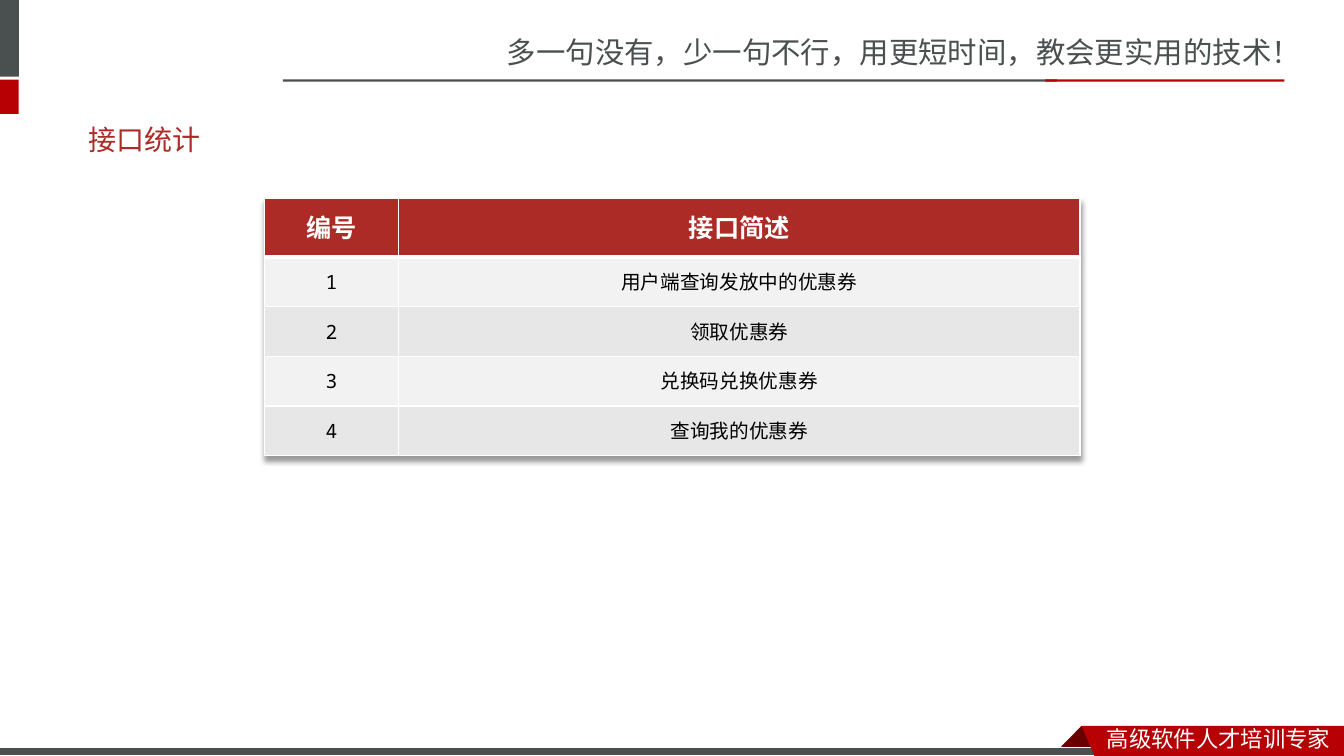
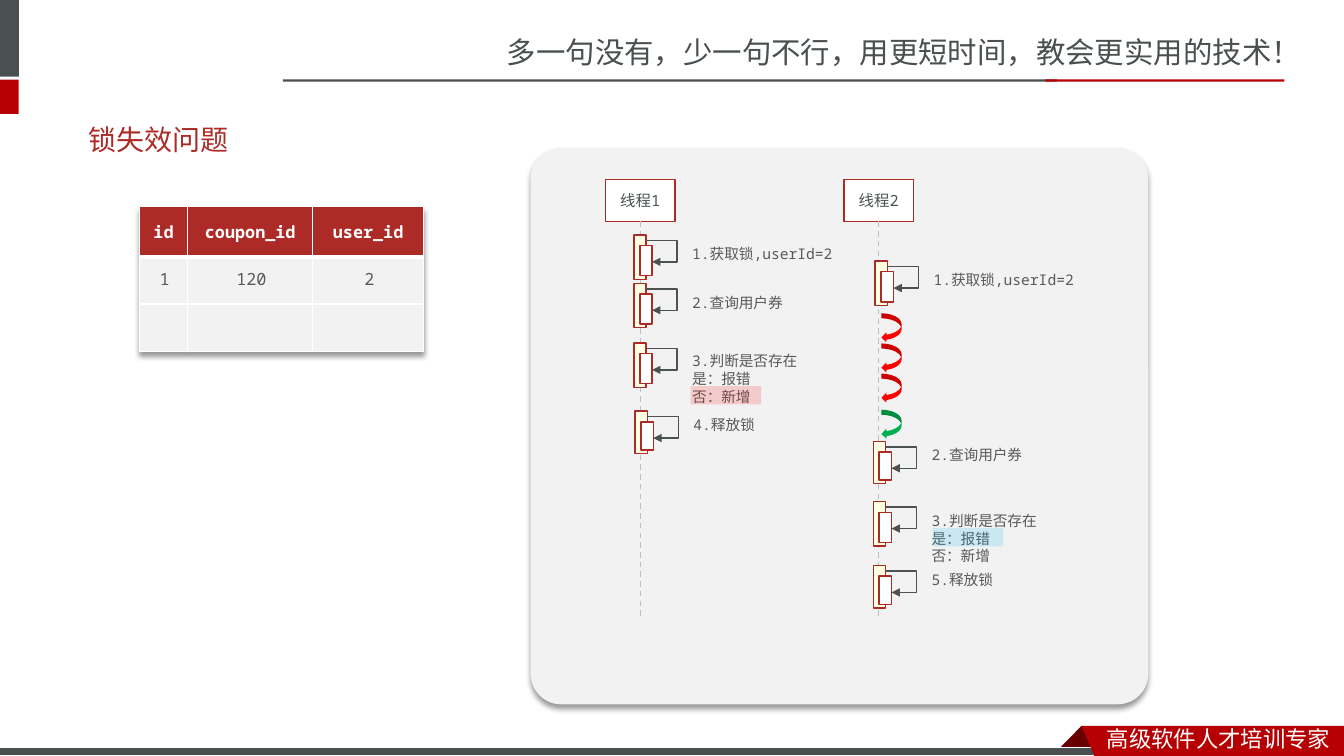
from dataclasses import dataclass
from itertools import accumulate
from typing import Optional

from lxml import etree
from pptx import Presentation
from pptx.dml.color import RGBColor
from pptx.enum import dml, shapes, text
from pptx.oxml.ns import qn
from pptx.util import Cm, Pt

# Colours and fonts
WHITE = RGBColor(0xFF, 0xFF, 0xFF)
BLACK = RGBColor(0x00, 0x00, 0x00)
SLATE = RGBColor(0x49, 0x50, 0x4F)
INK = RGBColor(0x4C, 0x52, 0x52)
GREY_TEXT = RGBColor(0x59, 0x59, 0x59)
LIFELINE_GREY = RGBColor(0xBF, 0xBF, 0xBF)
PALE = RGBColor(0xF2, 0xF2, 0xF2)
BAND = RGBColor(0xE7, 0xE7, 0xE7)
RED = RGBColor(0xB6, 0x00, 0x04)
DARK_RED = RGBColor(0x68, 0x00, 0x00)
BRICK = RGBColor(0xAD, 0x2B, 0x26)
CREAM = RGBColor(0xFF, 0xFF, 0xE4)
RETRY_RED = RGBColor(0xFF, 0x00, 0x00)
GO_GREEN = RGBColor(0x00, 0xB0, 0x50)
SKY = RGBColor(0x00, 0xB0, 0xF0)
SANS, MONO, TITLE_FONT = "Noto Sans CJK SC", "Noto Sans Mono", "Lato"

RECT = shapes.MSO_SHAPE.RECTANGLE
LEFT, CENTER = text.PP_ALIGN.LEFT, text.PP_ALIGN.CENTER
TOP, MIDDLE = text.MSO_ANCHOR.TOP, text.MSO_ANCHOR.MIDDLE
SLIDE_WIDTH, SLIDE_HEIGHT = 33.86, 19.05


@dataclass(frozen=True)
class Style:
    font: str
    size: float
    color: RGBColor
    bold: bool = False


@dataclass(frozen=True)
class Box:
    left: float
    top: float
    width: float
    height: float

    def lengths(self) -> tuple:
        return Cm(self.left), Cm(self.top), Cm(self.width), Cm(self.height)


@dataclass(frozen=True)
class SelfCall:
    left: float
    top: float
    height: float
    label_drop: float
    lines: tuple


SLOGAN_STYLE = Style(SANS, 21, SLATE)
FOOTER_STYLE = Style(SANS, 16, WHITE)
TITLE_STYLE = Style(TITLE_FONT, 20, BRICK)
HEAD_STYLE = Style(MONO, 11, INK)
CALL_STYLE = Style(MONO, 10.5, GREY_TEXT)
RECORD_STYLE = Style(MONO, 12, GREY_TEXT)


# Drawing helpers
def write(frame, lines, style: Style, align) -> None:
    for i, line in enumerate(lines):
        paragraph = frame.paragraphs[0] if i == 0 else frame.add_paragraph()
        paragraph.text = line
        paragraph.alignment = align
        font = paragraph.font
        font.size, font.bold, font.name = Pt(style.size), style.bold, style.font
        font.color.rgb = style.color
        etree.SubElement(font._element, qn("a:ea"), typeface=style.font)


def add_text(slide, box: Box, lines, style: Style, anchor=TOP, align=LEFT,
             wrap: bool = False) -> None:
    frame = slide.shapes.add_textbox(*box.lengths()).text_frame
    frame.word_wrap = wrap
    frame.vertical_anchor = anchor
    write(frame, lines, style, align)


def paint(shape, fill: RGBColor, line: Optional[RGBColor] = None, width: float = 1):
    shape.shadow.inherit = False
    shape.fill.solid()
    shape.fill.fore_color.rgb = fill
    if line is None:
        shape.line.fill.background()
    else:
        shape.line.color.rgb = line
        shape.line.width = Pt(width)
    return shape


def add_shape(slide, box: Box, fill: RGBColor, line: Optional[RGBColor] = None,
              width: float = 1, kind=RECT):
    return paint(slide.shapes.add_shape(kind, *box.lengths()), fill, line, width)


def add_polygon(slide, points, fill: RGBColor) -> None:
    corners = [(Cm(x), Cm(y)) for x, y in points]
    builder = slide.shapes.build_freeform(*corners[0])
    builder.add_line_segments(corners[1:], close=True)
    paint(builder.convert_to_shape(), fill)


def drop_shadow(effects) -> None:
    shadow = etree.SubElement(effects, qn("a:outerShdw"), blurRad=str(Pt(4)),
                              dist=str(Pt(3)), dir="5400000", algn="t", rotWithShape="0")
    color = etree.SubElement(shadow, qn("a:srgbClr"), val=str(BLACK))
    etree.SubElement(color, qn("a:alpha"), val="40000")


def add_line(slide, kind, start, end, color: RGBColor):
    line = slide.shapes.add_connector(kind, *(Cm(v) for v in (*start, *end)))
    line.line.color.rgb = color
    line.line.width = Pt(1)
    etree.SubElement(line._element.spPr, qn("a:effectLst"))
    return line


def underline_cell(cell) -> None:
    border = etree.Element(qn("a:lnB"), w=str(Pt(3)))
    fill = etree.SubElement(border, qn("a:solidFill"))
    etree.SubElement(fill, qn("a:srgbClr"), val=str(WHITE))
    cell._tc.get_or_add_tcPr().insert(0, border)


def add_table(slide, left: float, top: float, widths, heights, rows,
              header: Style, body: Style, bands) -> None:
    box = Box(left, top, sum(widths), sum(heights))
    table = slide.shapes.add_table(len(rows), len(widths), *box.lengths()).table
    effects = etree.Element(qn("a:effectLst"))
    drop_shadow(effects)
    table._tbl.tblPr.insert(0, effects)
    for column, width in zip(table.columns, widths):
        column.width = Cm(width)
    for r, (values, height) in enumerate(zip(rows, heights)):
        table.rows[r].height = Cm(height)
        for c, value in enumerate(values):
            cell = table.cell(r, c)
            cell.vertical_anchor = MIDDLE
            cell.fill.solid()
            cell.fill.fore_color.rgb = bands[(r - 1) % len(bands)] if r else BRICK
            if r == 0:
                underline_cell(cell)
            if value:
                write(cell.text_frame, [value], body if r else header, CENTER)


# Parts shared by the slides
def add_frame(deck, title: str):
    slide = deck.slides.add_slide(deck.slide_layouts[6])
    add_text(slide, Box(12.52, 0.73, 21.34, 1.19),
             ["多一句没有，少一句不行，用更短时间，教会更实用的技术！"], SLOGAN_STYLE)
    for box, fill in ((Box(0, 0, 0.48, 1.93), SLATE), (Box(0, 2.01, 0.47, 0.86), RED),
                      (Box(7.13, 2, 19.5, 0.06), SLATE),
                      (Box(26.34, 2, 6.02, 0.06), RED)):
        add_shape(slide, box, fill)
    add_polygon(slide, [(27.25, 18.29), (27.81, 18.85), (27.79, 18.87),
                        (26.72, 18.87), (26.7, 18.85)], DARK_RED)
    add_shape(slide, Box(0, 18.83, 27.92, 0.22), SLATE, WHITE, 0.75)
    add_polygon(slide, [(27.25, 18.29), (SLIDE_WIDTH, 18.29),
                        (SLIDE_WIDTH, SLIDE_HEIGHT), (27.57, SLIDE_HEIGHT)], RED)
    add_text(slide, Box(27.64, 18.16, 6.22, 0.94), ["高级软件人才培训专家"], FOOTER_STYLE)
    add_text(slide, Box(1.98, 2.79, 29.72, 1.45), [title], TITLE_STYLE, MIDDLE)
    return slide


# Sequence diagram parts
def add_thread(slide, left: float, name: str) -> None:
    box = Box(left, 4.52, 1.76, 1.06)
    head = add_shape(slide, box, WHITE, BRICK)
    frame = head.text_frame
    frame.margin_left = frame.margin_right = 0
    frame.vertical_anchor = MIDDLE
    write(frame, [name], HEAD_STYLE, CENTER)
    x = left + box.width / 2
    lifeline = add_line(slide, shapes.MSO_CONNECTOR.STRAIGHT,
                        (x, box.top + box.height), (x, 15.57), LIFELINE_GREY)
    lifeline.line.dash_style = dml.MSO_LINE.DASH
    lifeline.begin_connect(head, 2)


def add_self_call(slide, call: SelfCall) -> None:
    x, y = call.left, call.top
    add_shape(slide, Box(x, y, 0.31, call.height), CREAM, BRICK)
    add_shape(slide, Box(x + 0.15, y + 0.27, 0.31, call.height - 0.36), WHITE, BRICK)
    start, end, reach = x + 0.31, x + 0.46, 0.78
    loop = add_line(slide, shapes.MSO_CONNECTOR.ELBOW, (start, y + 0.14), (end, y + 0.68), INK)
    etree.SubElement(loop.line._get_or_add_ln(), qn("a:tailEnd"), type="triangle")
    guides = loop._element.spPr.find(qn("a:prstGeom")).find(qn("a:avLst"))
    bend = round(reach / (end - start) * 100000)
    etree.SubElement(guides, qn("a:gd"), name="adj1", fmla=f"val {bend}")
    add_text(slide, Box(x + 1.22, y + call.label_drop, 4.29, 0.71), call.lines, CALL_STYLE)


def add_highlight(slide, left: float, top: float, color: RGBColor) -> None:
    mark = add_shape(slide, Box(left, top, 1.78, 0.46), color)
    fill = mark._element.spPr.find(qn("a:solidFill"))
    etree.SubElement(fill[0], qn("a:alpha"), val="16000")


# Slides
def add_interface_slide(deck) -> None:
    slide = add_frame(deck, "接口统计")
    summaries = ("用户端查询发放中的优惠券", "领取优惠券", "兑换码兑换优惠券", "查询我的优惠券")
    rows = [("编号", "接口简述")]
    rows += [(str(number), summary) for number, summary in enumerate(summaries, 1)]
    add_table(slide, 6.66, 5, (3.38, 17.17), [1.48] + [1.25] * 4, rows,
              Style(MONO, 18, WHITE, True), Style(MONO, 14, BLACK), (PALE, BAND))


def add_lock_slide(deck) -> None:
    slide = add_frame(deck, "锁失效问题")
    panel = add_shape(slide, Box(13.37, 3.73, 15.56, 14.02), PALE,
                      kind=shapes.MSO_SHAPE.ROUNDED_RECTANGLE)
    panel.adjustments[0] = 0.055
    drop_shadow(panel._element.spPr.find(qn("a:effectLst")))

    add_thread(slide, 15.25, "线程1")
    add_thread(slide, 21.26, "线程2")
    acquire, query = ("1.获取锁,userId=2",), ("2.查询用户券",)
    check = ("3.判断是否存在", "是：报错", "否：新增")
    for call in (
        SelfCall(15.97, 5.92, 1.12, 0.13, acquire),
        SelfCall(15.97, 7.14, 1.12, 0.15, query),
        SelfCall(15.97, 8.64, 1.12, 0.11, check),
        SelfCall(16, 10.36, 1.07, 0, ("4.释放锁",)),
        SelfCall(22.05, 6.58, 1.12, 0.13, acquire),
        SelfCall(22, 11.12, 1.07, 0, query),
        SelfCall(22, 12.64, 1.12, 0.13, check),
        SelfCall(22, 14.25, 1.07, 0, ("5.释放锁",)),
    ):
        add_self_call(slide, call)
    add_highlight(slide, 17.4, 9.73, RETRY_RED)
    add_highlight(slide, 23.5, 13.31, SKY)

    # Waiting for the lock: three failed tries, then success
    tries = [(8.01 + 0.76 * i, RETRY_RED) for i in range(3)] + [(10.44, GO_GREEN)]
    for top, color in tries:
        arrow = add_shape(slide, Box(22.09, top, 0.74, 0.51), color,
                          kind=shapes.MSO_SHAPE.CURVED_DOWN_ARROW)
        arrow.rotation = 90

    # Coupon table, with the stored record laid over its first empty row
    left, widths = 3.51, (1.22, 3.15, 2.79)
    rows = [("id", "coupon_id", "user_id"), ("",) * 3, ("",) * 3]
    add_table(slide, left, 5.21, widths, (1.26, 1.19, 1.19), rows,
              Style(MONO, 12, WHITE, True), RECORD_STYLE, (PALE,))
    edges = accumulate(widths, initial=left + 0.03)
    for edge, width, value in zip(edges, widths, ("1", "120", "2")):
        add_text(slide, Box(edge, 6.65, width, 0.76), [value], RECORD_STYLE,
                 align=CENTER, wrap=True)


def main() -> None:
    deck = Presentation()
    deck.slide_width, deck.slide_height = Cm(SLIDE_WIDTH), Cm(SLIDE_HEIGHT)
    add_interface_slide(deck)
    add_lock_slide(deck)
    deck.save("out.pptx")


if __name__ == "__main__":
    main()
